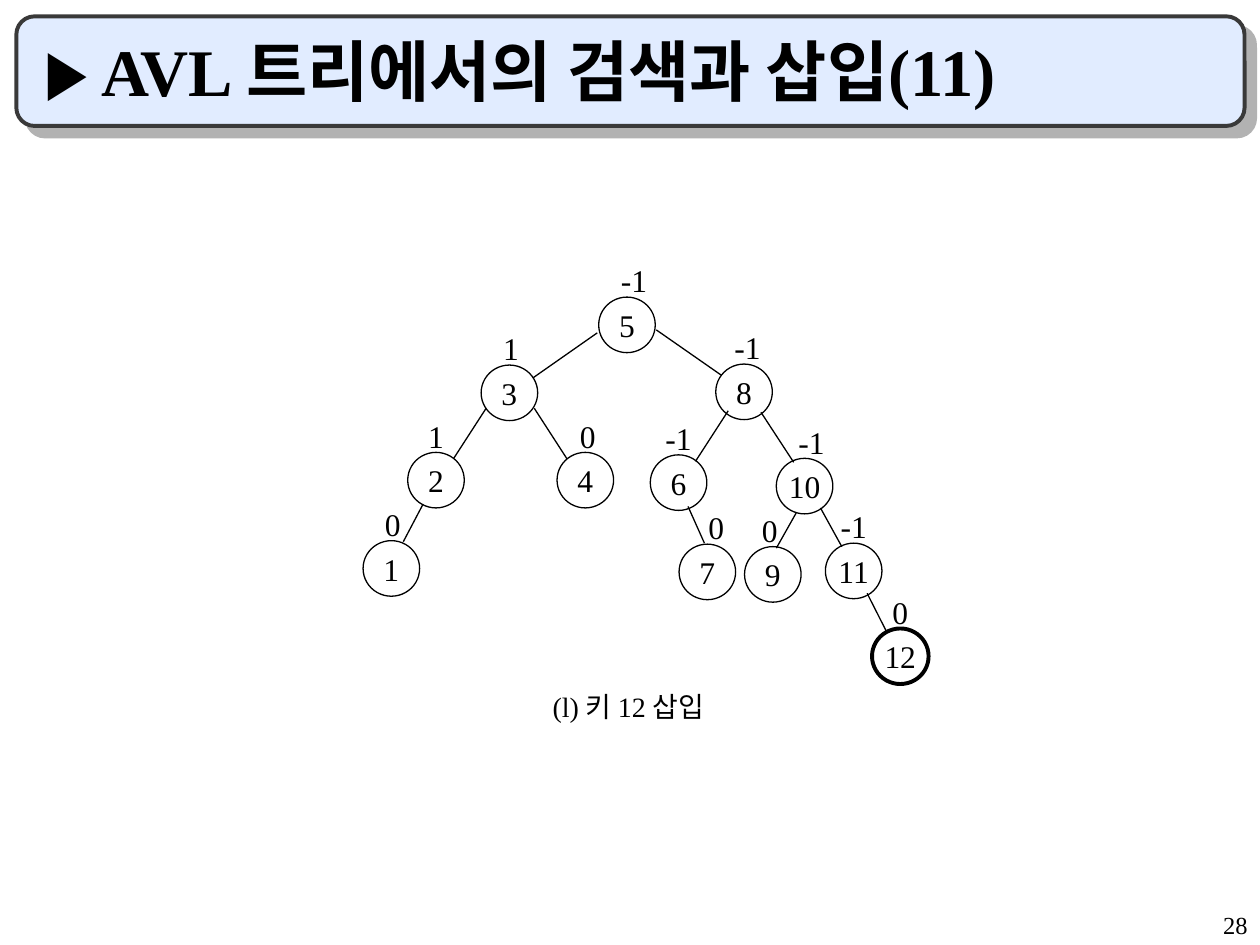
"""Build the AVL tree slide showing the insertion of key 12."""
from lxml import etree
from pptx import Presentation
from pptx import util as u
from pptx.dml import color
from pptx.enum import shapes, text
from pptx.oxml import ns

FONT = "Times New Roman"
BLACK = "000000"
NODE_WIDTH, NODE_HEIGHT = 1.14, 1.12
LABEL_WIDTH, LABEL_HEIGHT, LABEL_RISE = 1.5, 1.02, 1.41
THIN, THICK = 0.75, 2.25
NEW_KEY = "12"

BANNER = (0.33, 0.33, 24.76, 2.21)
TEXTS = [
    ("▶ AVL 트리에서의 검색과 삽입(11)", (0.64, 0.64, 23.93, 1.7), 38, "LEFT", "BOTTOM", True),
    ("(l) 키 12 삽입", (9.7, 13.77, 5.94, 0.94), 16, "CENTER", "TOP", False),
    ("28", (20.12, 18.21, 5.28, 0.84), 14, "RIGHT", "TOP", False),
]
# key, balance factor, centre x, centre y, label shift
NODES = [
    ("5", "-1", 12.64, 6.55, 0.14),
    ("3", "1", 10.27, 7.92, 0.03),
    ("8", "-1", 15, 7.9, 0.07),
    ("2", "1", 8.79, 9.68, 0),
    ("4", "0", 11.8, 9.68, 0.05),
    ("6", "-1", 13.68, 9.73, 0),
    ("10", "-1", 16.22, 9.8, 0.14),
    ("1", "0", 7.89, 11.46, 0.03),
    ("7", "0", 14.26, 11.53, 0.18),
    ("9", "0", 15.58, 11.58, -0.06),
    ("11", "-1", 17.21, 11.51, 0),
    ("12", "0", 18.15, 13.23, 0),
]
EDGES = [
    (12.04, 6.71, 10.74, 7.62),
    (13.23, 6.65, 14.55, 7.57),
    (9.8, 8.23, 9.14, 9.25),
    (10.77, 8.23, 11.43, 9.25),
    (14.68, 8.28, 14.02, 9.3),
    (15.34, 8.31, 16, 9.32),
    (8.53, 10.16, 8.13, 10.92),
    (13.87, 10.21, 14.2, 10.95),
    (16.05, 10.34, 15.65, 11.05),
    (16.54, 10.24, 16.97, 11.02),
    (17.48, 11.96, 17.88, 12.75),
]


def rgb(value):
    return color.RGBColor.from_string(value)


def lengths(values):
    return [u.Cm(value) for value in values]


def set_attributes(target, values):
    for name, value in values.items():
        setattr(target, name, value)


def set_line(shape, value, width):
    shape.line.color.rgb = rgb(value)
    shape.line.width = u.Pt(width)


def write(shape, words, size, align="CENTER", anchor="TOP", bold=False, wrap=True):
    frame = shape.text_frame
    set_attributes(frame, {
        "word_wrap": wrap,
        "vertical_anchor": getattr(text.MSO_ANCHOR, anchor),
        "margin_left": u.Cm(0.25), "margin_right": u.Cm(0.25),
        "margin_top": u.Cm(0.13), "margin_bottom": u.Cm(0.13),
    })
    paragraph = frame.paragraphs[0]
    paragraph.alignment = getattr(text.PP_ALIGN, align)
    run = paragraph.add_run()
    run.text = words
    set_attributes(run.font, {"name": FONT, "size": u.Pt(size), "bold": bold})
    run.font.color.rgb = rgb(BLACK)


def add_text(slide, words, box, *style):
    write(slide.shapes.add_textbox(*lengths(box)), words, *style)


def add_banner(slide):
    shape = slide.shapes.add_shape(shapes.MSO_SHAPE.ROUNDED_RECTANGLE, *lengths(BANNER))
    shape.fill.solid()
    shape.fill.fore_color.rgb = rgb("E1ECFF")
    set_line(shape, "393939", THICK)
    shape.shadow.inherit = False
    effects = shape._element.spPr.find(ns.qn("a:effectLst"))
    shadow = etree.SubElement(effects, ns.qn("a:outerShdw"), dist=str(u.Pt(8.5)),
                              dir="2700000", algn="ctr", rotWithShape="0")
    etree.SubElement(shadow, ns.qn("a:srgbClr"), val="B2B2B2")


def add_node(slide, key, balance, x, y, shift):
    box = (x - NODE_WIDTH / 2, y - NODE_HEIGHT / 2, NODE_WIDTH, NODE_HEIGHT)
    shape = slide.shapes.add_shape(shapes.MSO_SHAPE.OVAL, *lengths(box))
    shape.shadow.inherit = False
    shape.fill.background()
    set_line(shape, BLACK, THICK if key == NEW_KEY else THIN)
    write(shape, key, 18, anchor="MIDDLE", wrap=False)
    label = (x + shift - LABEL_WIDTH / 2, y - LABEL_RISE, LABEL_WIDTH, LABEL_HEIGHT)
    add_text(slide, balance, label, 18)


def add_edge(slide, ends):
    edge = slide.shapes.add_connector(shapes.MSO_CONNECTOR.STRAIGHT, *lengths(ends))
    set_line(edge, BLACK, THIN)
    etree.SubElement(edge._element.spPr, ns.qn("a:effectLst"))


def main():
    presentation = Presentation()
    set_attributes(presentation, {"slide_width": u.Cm(25.4), "slide_height": u.Cm(19.05)})
    slide = presentation.slides.add_slide(presentation.slide_layouts[6])
    add_banner(slide)
    for item in TEXTS:
        add_text(slide, *item)
    for ends in EDGES:
        add_edge(slide, ends)
    for node in NODES:
        add_node(slide, *node)
    presentation.save("out.pptx")


if __name__ == "__main__":
    main()
